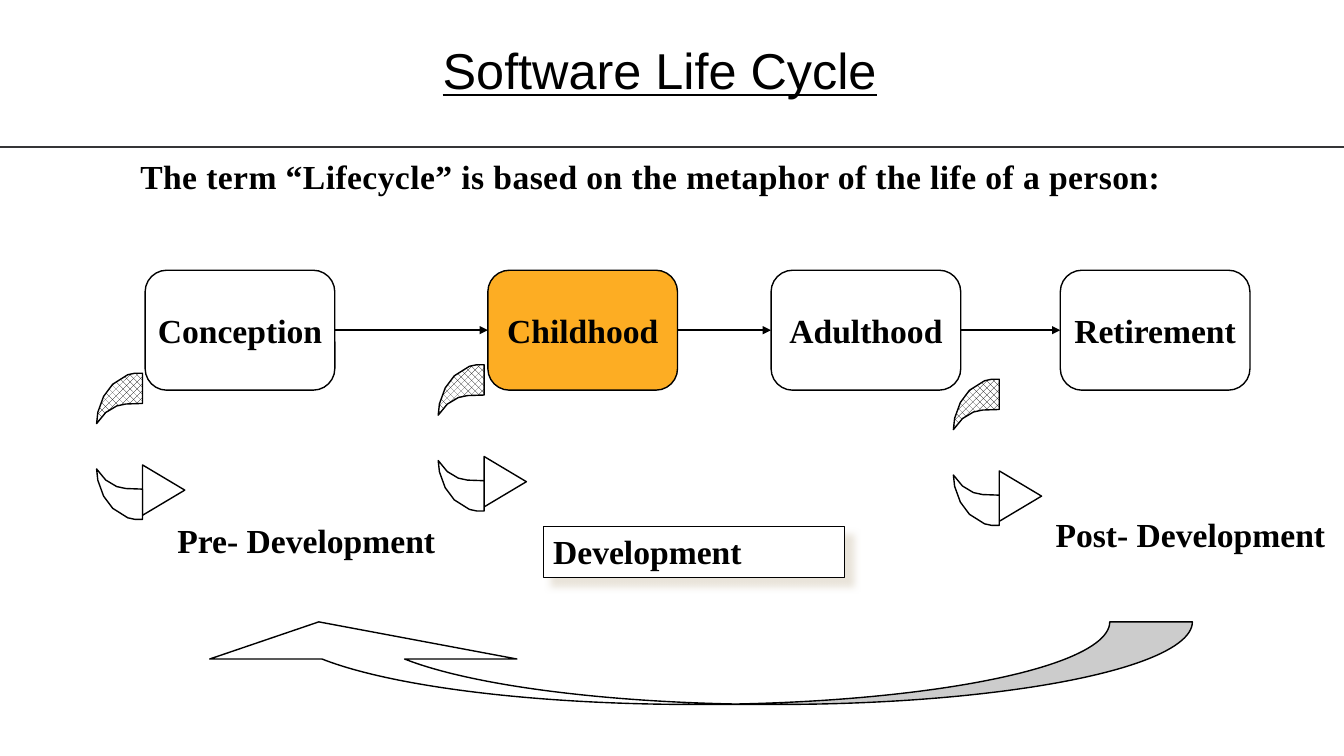
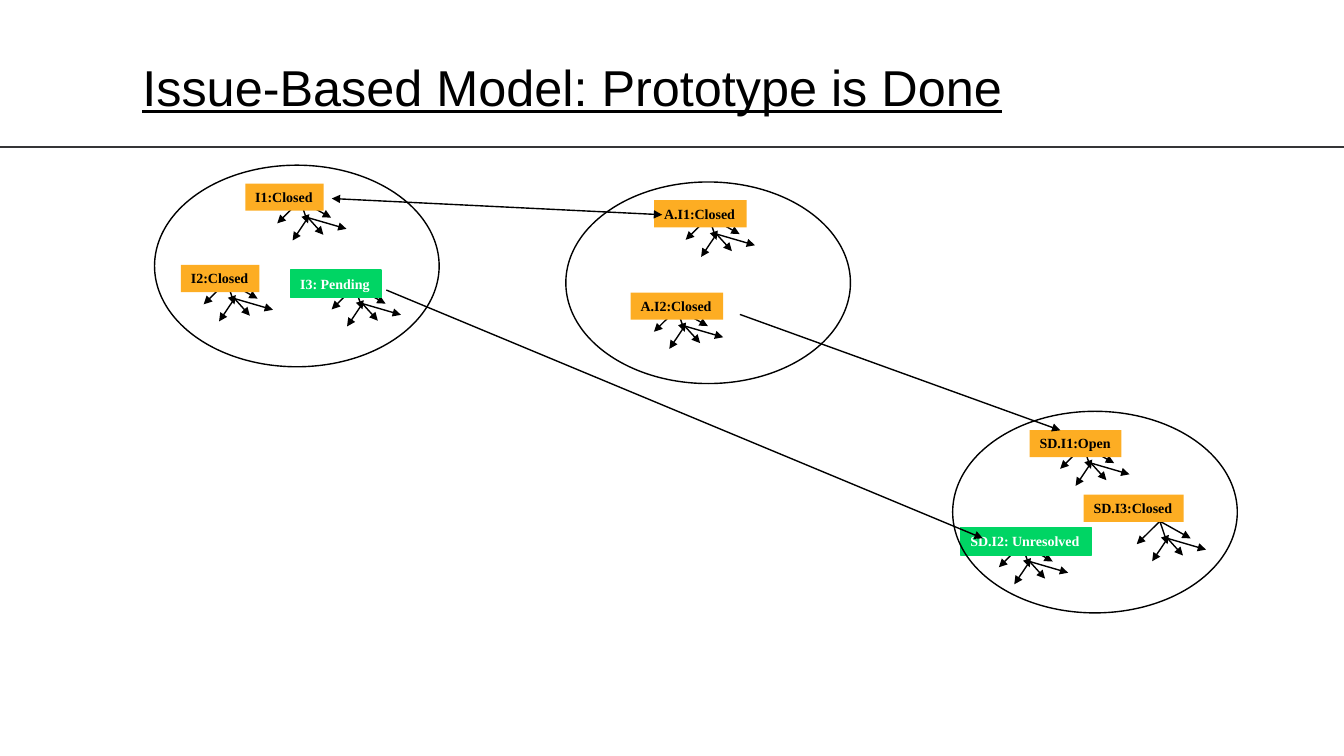
from dataclasses import dataclass

from lxml import etree
from pptx import Presentation
from pptx.dml.color import RGBColor
from pptx.enum.dml import MSO_PATTERN
from pptx.enum.shapes import MSO_CONNECTOR, MSO_SHAPE
from pptx.enum.text import MSO_ANCHOR, PP_ALIGN
from pptx.oxml.ns import qn
from pptx.util import Pt

STRAIGHT = MSO_CONNECTOR.STRAIGHT
RECTANGLE = MSO_SHAPE.RECTANGLE
ROUNDED = MSO_SHAPE.ROUNDED_RECTANGLE
OVAL = MSO_SHAPE.OVAL
CURVED_ARROW = MSO_SHAPE.CURVED_UP_ARROW
DOTTED = MSO_PATTERN.PERCENT_50
LEFT, CENTER = PP_ALIGN.LEFT, PP_ALIGN.CENTER
TOP, MIDDLE = MSO_ANCHOR.TOP, MSO_ANCHOR.MIDDLE
RIGHT_SIDE, LEFT_SIDE = 3, 1


@dataclass(frozen=True)
class Theme:
    black: RGBColor = RGBColor(0x00, 0x00, 0x00)
    white: RGBColor = RGBColor(0xFF, 0xFF, 0xFF)
    rule: RGBColor = RGBColor(0x35, 0x35, 0x37)
    orange: RGBColor = RGBColor(0xFD, 0xAD, 0x23)
    green: RGBColor = RGBColor(0x00, 0xD5, 0x64)
    title_font: str = "Arial"
    body_font: str = "Times New Roman"
    title_size: int = 36
    body_size: int = 24
    issue_size: int = 10
    line_width: int = 1


theme = Theme()


def add_box(page, kind, place, text="", fill=None, line=None, size=theme.body_size,
            ink=theme.black, align=CENTER, anchor=TOP, wrap=True):
    """Add a preset shape, or a text box when kind is None, placed in points."""
    lengths = [Pt(value) for value in place]
    if kind is None:
        box = page.shapes.add_textbox(*lengths)
    else:
        box = page.shapes.add_shape(kind, *lengths)
        box.shadow.inherit = False
        if fill is None:
            box.fill.background()
        else:
            box.fill.solid()
            box.fill.fore_color.rgb = fill
        if line is None:
            box.line.fill.background()
        else:
            box.line.color.rgb = line
            box.line.width = Pt(theme.line_width)
    if text:
        frame = box.text_frame
        frame.text = text
        frame.word_wrap = wrap
        frame.vertical_anchor = anchor
        para = frame.paragraphs[0]
        para.alignment = align
        font = para.runs[0].font
        font.name, font.size, font.bold = theme.body_font, Pt(size), True
        font.color.rgb = ink
    return box


def draw_line(page, start, end, colour=theme.black, heads=("tailEnd",)):
    """Draw a straight line between two points; heads lists the ends with a triangle."""
    line = page.shapes.add_connector(STRAIGHT, *[Pt(value) for value in (*start, *end)])
    line.line.color.rgb = colour
    line.line.width = Pt(theme.line_width)
    properties = line._element.spPr
    for head in heads:
        etree.SubElement(properties.find(qn("a:ln")), qn(f"a:{head}"), type="triangle")
    etree.SubElement(properties, qn("a:effectLst"))
    return line


deck = Presentation()
deck.slide_width, deck.slide_height = Pt(960), Pt(540)

# Shared title and rule
titles = [
    ("Software Life Cycle", (309, 24, 401, 51)),
    ("Issue-Based Model: Prototype is Done", (94.5, 36, 718, 51)),
]
pages = []
for text, place in titles:
    page = deck.slides.add_slide(deck.slide_layouts[5])
    title = page.shapes.title
    title.left, title.top, title.width, title.height = [Pt(value) for value in place]
    title.text_frame.text = text
    title.text_frame.vertical_anchor = MIDDLE
    para = title.text_frame.paragraphs[0]
    para.alignment = LEFT
    font = para.runs[0].font
    font.name, font.size, font.underline = theme.title_font, Pt(theme.title_size), True
    font.color.rgb = theme.black
    draw_line(page, (0, 105), (960, 105), theme.rule, heads=())
    pages.append(page)
life_cycle, issue_model = pages

# Life cycle: the stages of a life
intro = add_box(life_cycle, None, (6, 108, 918, 44),
                "The term “Lifecycle” is based on the metaphor of the life of a person:")
intro_para = intro.text_frame.paragraphs[0]
intro_para.space_before = Pt(6)
intro_para.runs[0]._r.get_or_add_rPr().set("spc", "30")

stages = [("Conception", 103.7, None), ("Childhood", 348.5, theme.orange),
          ("Adulthood", 550.8, None), ("Retirement", 757.4, None)]
stage_top, stage_width, stage_height = 193, 135.5, 85.7
previous = None
for name, left, fill in stages:
    stage = add_box(life_cycle, ROUNDED, (left, stage_top, stage_width, stage_height), name,
                    fill=fill, line=theme.black, anchor=MIDDLE, wrap=False)
    stage.adjustments[0] = 0.18
    if previous is not None:
        arrow = draw_line(life_cycle, (0, 0), (left, stage_top))
        arrow.begin_connect(previous, RIGHT_SIDE)
        arrow.end_connect(stage, LEFT_SIDE)
    previous = stage

# Life cycle: curved arrows down to the phases
turn_height = 104.4
upper_arc = [(32.8, 0), (27.4, 0), (22.3, 1.1), (11.5, 7.9), (5, 16.6), (0.9, 27.9),
             (0, 36), (6.5, 28.1), (14.4, 23.4), (20.9, 22), (32.8, 21.6)]
lower_arc = [(x, turn_height - y) for x, y in upper_arc]
arrow_head = [(32.8, 65.5), (63, 83.5), (32.8, 101.5)]
for left, top in [(69, 266.6), (313, 260.6), (681, 270.9)]:
    for outline in (upper_arc, arrow_head, lower_arc):
        points = [(Pt(left + x), Pt(top + y)) for x, y in outline]
        builder = life_cycle.shapes.build_freeform(*points[0])
        builder.add_line_segments(points[1:], close=True)
        piece = builder.convert_to_shape()
        piece.shadow.inherit = False
        if outline is upper_arc:
            piece.fill.patterned()
            piece.fill.pattern = DOTTED
            piece.fill.fore_color.rgb = theme.black
            piece.fill.back_color.rgb = theme.white
        else:
            piece.fill.solid()
            piece.fill.fore_color.rgb = theme.white
        piece.line.color.rgb = theme.black
        piece.line.width = Pt(theme.line_width)

add_box(life_cycle, None, (113, 368, 211.7, 36), "Pre- Development")
add_box(life_cycle, None, (743.8, 363.6, 213, 36), "Post- Development")
development = add_box(life_cycle, RECTANGLE, (388, 376, 215.3, 36.7), "Development",
                      fill=theme.white, line=theme.black, align=LEFT)
effects = development._element.spPr.find(qn("a:effectLst"))
shadow = etree.SubElement(effects, qn("a:outerShdw"), blurRad=str(Pt(5)), dist=str(Pt(8.5)),
                          dir="2700000", algn="tl", rotWithShape="0")
shadow_colour = etree.SubElement(shadow, qn("a:srgbClr"), val="E3DCCF")
etree.SubElement(shadow_colour, qn("a:alpha"), val="75000")

return_arrow = add_box(life_cycle, CURVED_ARROW, (118, 444.2, 733.7, 59),
                       fill=theme.white, line=theme.black)
for index, value in enumerate((1.86, 3.72, 0.45)):
    return_arrow.adjustments[index] = value
return_arrow._element.spPr.find(qn("a:xfrm")).set("flipH", "1")

# Issue model: issues, each with a fan of arrows from its root
fan_root, fan_hub = (0, 0), (5.5, 12.3)
fan = [(fan_root, (5.5, 16.4)), (fan_root, (-16.5, 16.4)), (fan_root, (22, 12.3)),
       (fan_hub, (-5.5, 28.6)), (fan_hub, (16.5, 24.5)), (fan_hub, (33, 20.3))]
closed, pending = (theme.orange, None, theme.black), (theme.green, theme.green, theme.white)
issues = [
    ("I1:Closed", (175.2, 131.2), 56, (214.5, 143.2), closed),
    ("I2:Closed", (129.3, 189.3), 56, (162, 201), closed),
    ("I3: Pending", (207.3, 193), 65, (253.4, 204.6), pending),
    ("A.I1:Closed", (467.3, 143), 66, (506.3, 154.9), closed),
    ("A.I2:Closed", (450.5, 209), 66, (483.6, 220.6), closed),
    ("SD.I1:Open", (735.5, 307.2), 65.6, (773.8, 318.5), closed),
    ("SD.I2: Unresolved", (686, 377), 93.6, (730, 388.8), pending),
    ("SD.I3:Closed", (774, 353.4), 71.4, (828.5, 372.3), closed),
]
for name, corner, width, (root_x, root_y), (fill, line, ink) in issues:
    for (start_x, start_y), (end_x, end_y) in fan:
        draw_line(issue_model, (root_x + start_x, root_y + start_y),
                  (root_x + end_x, root_y + end_y))
    add_box(issue_model, RECTANGLE, (*corner, width, 19.4), name, fill=fill, line=line,
            size=theme.issue_size, ink=ink, align=LEFT, wrap=False)

for left, top in [(110.4, 118), (404.2, 130), (680.5, 293.8)]:
    add_box(issue_model, OVAL, (left, top, 203.3, 144), line=theme.black)

draw_line(issue_model, (237, 141.8), (473, 153.4), heads=("headEnd", "tailEnd"))
draw_line(issue_model, (528.5, 224.6), (757.4, 307.4))
draw_line(issue_model, (276, 207.2), (702, 384.5))

deck.save("out.pptx")
